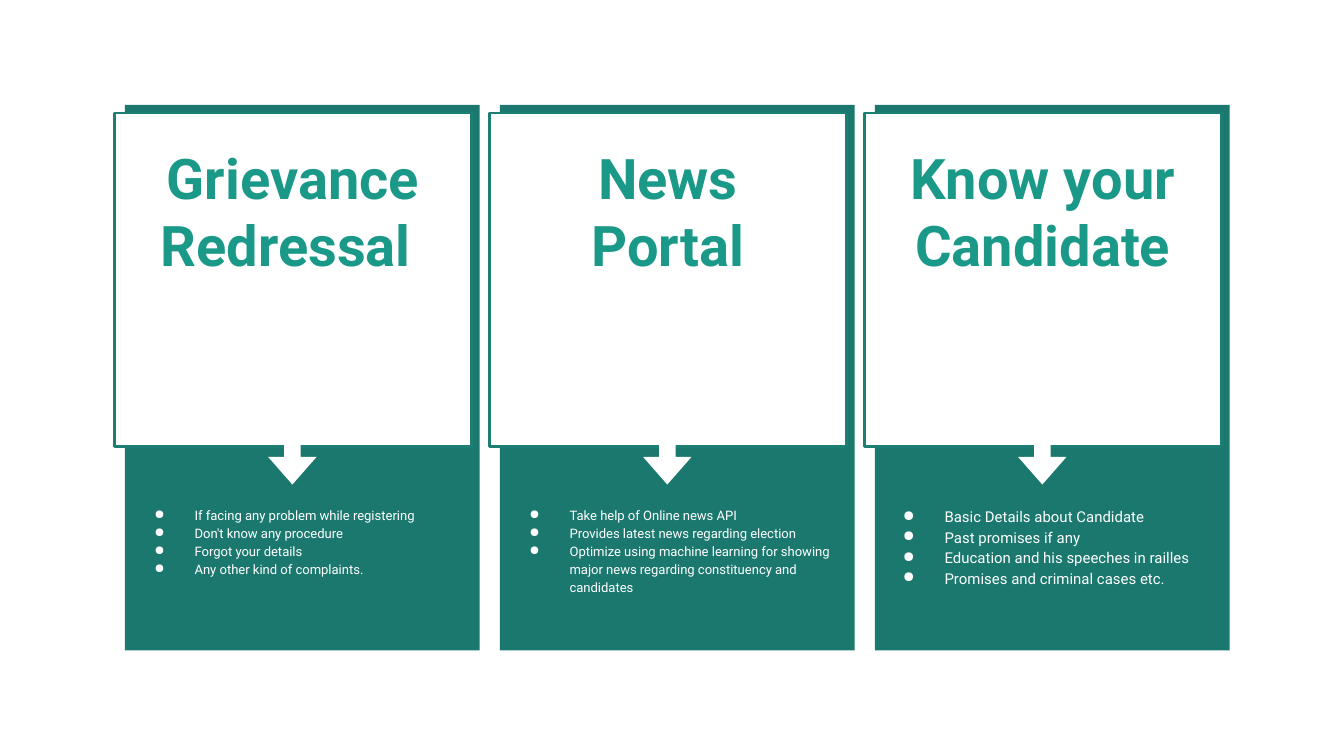
import pptx
import pptx.util
import pptx.dml.color
import pptx.enum.shapes
import pptx.enum.text
import pptx.oxml.ns
import lxml.etree

Inches = pptx.util.Inches
RGBColor = pptx.dml.color.RGBColor
SHAPE = pptx.enum.shapes.MSO_SHAPE
ALIGN = pptx.enum.text.PP_ALIGN

DARK = RGBColor(0x1B, 0x78, 0x6E)
EDGE = RGBColor(0x1D, 0x7E, 0x74)
TEAL = RGBColor(0x1A, 0x99, 0x88)
WHITE = RGBColor(0xFF, 0xFF, 0xFF)


def add_box(group, kind, left, top, width, height, fill, line=None):
    box = group.shapes.add_shape(
        kind, Inches(left), Inches(top), Inches(width), Inches(height))
    box.shadow.inherit = False
    box.fill.solid()
    box.fill.fore_color.rgb = fill
    if line is None:
        box.line.fill.background()
    else:
        box.line.color.rgb = line
        box.line.width = pptx.util.Pt(1.5)
    return box


def add_text(group, lines, left, top, width, height, size, color,
             bold=False, align=ALIGN.LEFT, spacing=1.0, bullet=None,
             hang=0.3):
    frame = group.shapes.add_textbox(
        Inches(left), Inches(top), Inches(width), Inches(height)).text_frame
    frame.word_wrap = True
    frame.margin_left = frame.margin_right = Inches(0.1)
    frame.margin_top = frame.margin_bottom = Inches(0.1)
    for i, line in enumerate(lines):
        para = frame.paragraphs[0] if i == 0 else frame.add_paragraph()
        para.alignment = align
        para.line_spacing = spacing
        run = para.add_run()
        run.text = line
        run.font.name = "Roboto"
        run.font.size = pptx.util.Pt(size)
        run.font.bold = bold
        run.font.color.rgb = color
        if bullet:
            props = para._p.get_or_add_pPr()
            props.set("marL", str(Inches(0.5)))
            props.set("indent", str(Inches(-hang)))
            qn = pptx.oxml.ns.qn
            tint = lxml.etree.SubElement(props, qn("a:buClr"))
            lxml.etree.SubElement(tint, qn("a:srgbClr"), val=str(color))
            lxml.etree.SubElement(props, qn("a:buChar"), char=bullet)


# Widescreen slide, 16 to 9
deck = pptx.Presentation()
deck.slide_width = Inches(10)
deck.slide_height = Inches(10) * 9 // 16
slide = deck.slides.add_slide(deck.slide_layouts[6])

# Title, bullet size, hanging indent and bullets of each card
cards = [
    ("Grievance Redressal ", 7, 0.3, [
        "If facing any problem while registering",
        "Don't know any procedure",
        "Forgot your details",
        "Any other kind of complaints.",
    ]),
    ("News Portal", 7, 0.3, [
        "Take help of Online news API",
        "Provides latest news regarding election",
        "Optimize using machine learning for showing major news "
        "regarding constituency and candidates",
    ]),
    ("Know your Candidate", 8, 0.31, [
        "Basic Details about Candidate",
        "Past promises if any",
        "Education and his speeches in railles",
        "Promises and criminal cases etc.",
    ]),
]

for i, (title, size, hang, points) in enumerate(cards):
    left = 0.85 + 2.79 * i
    card = slide.shapes.add_group_shape()

    # Dark back panel and white title panel
    add_box(card, SHAPE.RECTANGLE, left + 0.08, 0.78, 2.64, 4.06, DARK)
    add_box(card, SHAPE.RECTANGLE, left, 0.84, 2.66, 2.48, WHITE, EDGE)
    add_text(card, [title], left + 0.15, 0.97, 2.36, 2.25, 30, TEAL,
             bold=True, align=ALIGN.CENTER)

    # Arrow down to the bullets
    arrow = add_box(card, SHAPE.RIGHT_ARROW, left + 1.13, 3.23, 0.39, 0.36,
                    WHITE)
    arrow.rotation = 90
    arrow.adjustments[0] = 0.34
    arrow.adjustments[1] = 0.57

    add_text(card, points, left, 3.66, 2.64, 1.08, size, WHITE,
             spacing=1.15, bullet="●", hang=hang)

deck.save("out.pptx")
